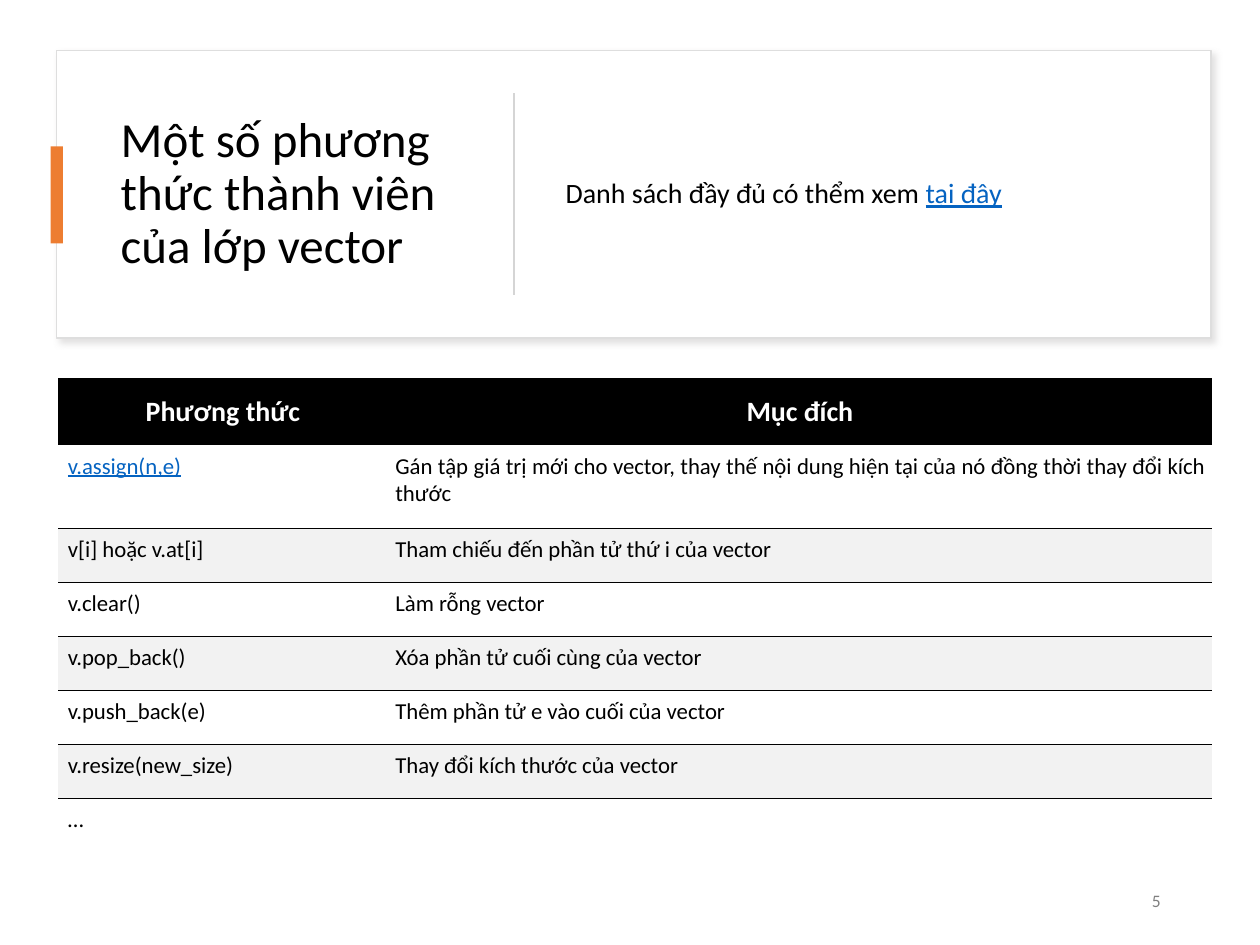
from lxml.etree import SubElement
from pptx import Presentation
from pptx.dml.color import RGBColor
from pptx.enum.shapes import MSO_CONNECTOR, MSO_SHAPE
from pptx.enum.text import MSO_ANCHOR, MSO_AUTO_SIZE, PP_ALIGN
from pptx.oxml import parse_xml
from pptx.oxml.ns import nsdecls, qn
from pptx.util import Cm, Pt

TITLE = "Một số phương thức thành viên của lớp vector"
NOTE, NOTE_LINK = "Danh sách đầy đủ có thểm xem ", "tại đây"
PAGE = "5"
HEADER = ("Phương thức", "Mục đích")
METHODS = [
    ("v.assign(n,e)", "Gán tập giá trị mới cho vector, thay thế nội dung "
                      "hiện tại của nó đồng thời thay đổi kích thước"),
    ("v[i] hoặc v.at[i]", "Tham chiếu đến phần tử thứ i của vector"),
    ("v.clear()", "Làm rỗng vector"),
    ("v.pop_back()", "Xóa phần tử cuối cùng của vector"),
    ("v.push_back(e)", "Thêm phần tử e vào cuối của vector"),
    ("v.resize(new_size)", "Thay đổi kích thước của vector"),
    ("…", ""),
]
LINKED = "v.assign(n,e)"
COLS = (Cm(6.6), Cm(16.66))
HEAD_H, TALL_H, ROW_H = Cm(1.35), Cm(1.68), Cm(1.09)

FONT = "Calibri"
BLACK = RGBColor(0x00, 0x00, 0x00)
WHITE = RGBColor(0xFF, 0xFF, 0xFF)
BAND = RGBColor(0xF2, 0xF2, 0xF2)
FRAME = RGBColor(0xDE, 0xDE, 0xDE)
RULE = RGBColor(0xD5, 0xD5, 0xD5)
ORANGE = RGBColor(0xED, 0x7D, 0x31)
LINK = RGBColor(0x05, 0x63, 0xC1)
GRAY = RGBColor(0x80, 0x80, 0x80)
NO_STYLE = "{2D5ABB26-0587-4C30-8999-92F81FD0307C}"
SHADOW = (f'<a:effectLst {nsdecls("a")}><a:outerShdw blurRad="50800" '
          'dist="38100" dir="2700000" algn="tl" rotWithShape="0">'
          '<a:srgbClr val="C5C3C3"><a:alpha val="50000"/></a:srgbClr>'
          '</a:outerShdw></a:effectLst>')


def style(p, size, color=BLACK, align=PP_ALIGN.LEFT):
    """Set font, size, colour and alignment of a paragraph."""
    p.font.name, p.font.size, p.font.color.rgb = FONT, Pt(size), color
    p.alignment = align


def mark_link(r):
    """Give a run the look of a link."""
    r.font.color.rgb, r.font.underline = LINK, True


def place(sp, left, top, width, height):
    """Move a text shape, wrap it and centre its text vertically."""
    sp.left, sp.top, sp.width, sp.height = map(Cm, (left, top, width, height))
    tf = sp.text_frame
    tf.word_wrap, tf.auto_size = True, MSO_AUTO_SIZE.NONE
    tf.vertical_anchor = MSO_ANCHOR.MIDDLE
    return tf.paragraphs[0]


def add_box(s, fill, left, top, width, height):
    """Add a filled rectangle without outline or shadow."""
    sp = s.shapes.add_shape(MSO_SHAPE.RECTANGLE,
                            *map(Cm, (left, top, width, height)))
    sp.shadow.inherit = False
    sp.fill.solid()
    sp.fill.fore_color.rgb = fill
    sp.line.fill.background()
    return sp


def add_border(cell, side):
    """Draw a thin black border; side is lnT or lnB."""
    pr = cell._tc.get_or_add_tcPr()
    pr.insert(0, parse_xml(
        f'<a:{side} {nsdecls("a")} w="12700"><a:solidFill>'
        f'<a:srgbClr val="{BLACK}"/></a:solidFill></a:{side}>'))


def fill_cell(cell, text, row):
    """Write one table cell; row 0 is the header."""
    head, banded = row == 0, row > 0 and row % 2 == 0
    if head or banded:
        cell.fill.solid()
        cell.fill.fore_color.rgb = BLACK if head else BAND
    else:
        cell.fill.background()
    if banded:
        add_border(cell, "lnT")
    elif 0 < row < len(METHODS):
        add_border(cell, "lnB")
    p = cell.text_frame.paragraphs[0]
    style(p, 16 if head else 13, WHITE if head else BLACK,
          PP_ALIGN.CENTER if head else PP_ALIGN.JUSTIFY)
    if not text:
        return
    cell.margin_left, cell.margin_right = Cm(0.2), Cm(0.15)
    cell.margin_top, cell.margin_bottom = Cm(0.28 if head else 0.15), Cm(0.28)
    cell.vertical_anchor = MSO_ANCHOR.MIDDLE if head else MSO_ANCHOR.TOP
    p.font.bold = head
    r = p.add_run()
    r.text = text
    if text == LINKED:
        mark_link(r)


def add_methods(s):
    """Add the table of member functions."""
    rows = [HEADER, *METHODS]
    heights = [HEAD_H, TALL_H] + [ROW_H] * (len(rows) - 2)
    frame = s.shapes.add_table(len(rows), len(COLS), Cm(1.17), Cm(7.62),
                               sum(COLS), sum(heights))
    table = frame.table
    table.first_row = table.horz_banding = False
    table._tbl.tblPr.find(qn("a:tableStyleId")).text = NO_STYLE
    for col, width in zip(table.columns, COLS):
        col.width = width
    for i, (texts, height) in enumerate(zip(rows, heights)):
        table.rows[i].height = height
        for j, text in enumerate(texts):
            fill_cell(table.cell(i, j), text, i)


prs = Presentation()
prs.slide_width, prs.slide_height = Cm(25.4), Cm(19.05)
s = prs.slides.add_slide(prs.slide_layouts[1])
title, note = s.placeholders

card = add_box(s, WHITE, 1.14, 1.02, 23.27, 5.79)
card.line.color.rgb, card.line.width = FRAME, Pt(1)
pr = card._element.spPr
pr.replace(pr.find(qn("a:effectLst")), parse_xml(SHADOW))
s.shapes._spTree.insert(2, card._element)

p = place(title, 2.18, 1.63, 7.42, 4.57)
p.text, p.line_spacing = TITLE, 0.9
style(p, 28)

add_box(s, ORANGE, 1.02, 2.95, 0.25, 1.96)
divider = s.shapes.add_connector(MSO_CONNECTOR.STRAIGHT, Cm(10.36), Cm(1.88),
                                 Cm(10.36), Cm(5.94))
divider.line.color.rgb, divider.line.width = RULE, Pt(1)
SubElement(divider._element.spPr, qn("a:effectLst"))

p = place(note, 11.15, 1.63, 12.5, 4.57)
p.line_spacing, p.space_before, p.space_after = 0.9, Pt(0), Pt(6)
style(p, 16)
pPr = p._p.get_or_add_pPr()
pPr.set("marL", "0")
pPr.set("indent", "0")
pPr.insert_element_before(parse_xml(f'<a:buNone {nsdecls("a")}/>'),
                          "a:tabLst", "a:defRPr", "a:extLst")
p.add_run().text = NOTE
r = p.add_run()
r.text = NOTE_LINK
mark_link(r)

number = s.shapes.add_textbox(0, 0, 0, 0)
p = place(number, 17.93, 17.65, 5.72, 1.02)
p.text, p.space_after = PAGE, Pt(6)
style(p, 10, GRAY, PP_ALIGN.RIGHT)

add_methods(s)
prs.save("out.pptx")
